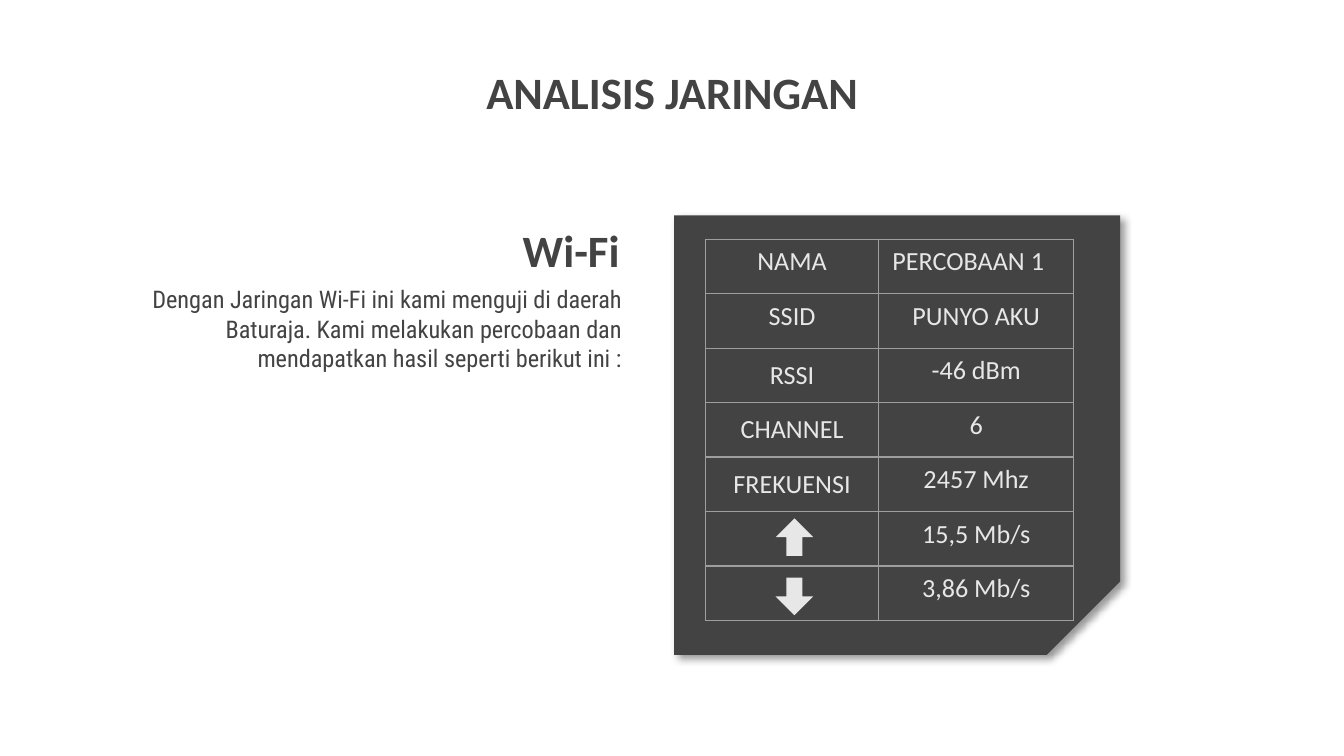
from lxml import etree
from pptx import Presentation
from pptx.dml.color import RGBColor
from pptx.enum import shapes, text
from pptx.oxml import parse_xml
from pptx.oxml.ns import nsdecls, qn
from pptx.util import Cm, Pt

DARK = RGBColor(0x43, 0x43, 0x43)
LIGHT = RGBColor(0xE7, 0xE7, 0xE7)
GRID = RGBColor(0x9E, 0x9E, 0x9E)

RESULTS = [
    ("NAMA", "PERCOBAAN 1"),
    ("SSID", "PUNYO AKU"),
    ("RSSI", "-46 dBm"),
    ("CHANNEL", "6"),
    ("FREKUENSI", "2457 Mhz"),
    ("", "15,5 Mb/s"),
    ("", "3,86 Mb/s"),
]
MIDDLE_LABELS = ("RSSI", "CHANNEL", "FREKUENSI")
COLUMN_WIDTHS = (3.28, 3.68)
ROW_HEIGHT = 1.03


def place(shape, left, top, width, height):
    shape.left, shape.top = Cm(left), Cm(top)
    shape.width, shape.height = Cm(width), Cm(height)


def style_paragraph(paragraph, size, face, color, align, bold=False):
    paragraph.alignment = align
    paragraph.font.size = Pt(size)
    paragraph.font.name = face
    paragraph.font.bold = bold
    paragraph.font.color.rgb = color


def write_text(box, lines, size, face, align, anchor, bold=False):
    frame = box.text_frame
    frame.word_wrap = True
    frame.auto_size = text.MSO_AUTO_SIZE.NONE
    frame.vertical_anchor = anchor
    frame.margin_left = frame.margin_right = Cm(0.25)
    frame.margin_top = frame.margin_bottom = Cm(0.25)
    frame.text = "\n".join(lines)
    for paragraph in frame.paragraphs:
        paragraph.space_before = Pt(0)
        style_paragraph(paragraph, size, face, DARK, align, bold)


def add_solid(slide, preset, box, color):
    solid = slide.shapes.add_shape(preset, *map(Cm, box))
    solid.shadow.inherit = False
    solid.fill.solid()
    solid.fill.fore_color.rgb = color
    solid.line.fill.background()
    return solid


def add_panel(slide):
    panel = add_solid(slide, shapes.MSO_SHAPE.SNIP_1_RECTANGLE,
                      (12.8, 4.01, 8.31, 8.43), DARK)
    panel.rotation = 90
    panel.adjustments[0] = 0.167
    effects = panel._element.spPr.find(qn("a:effectLst"))
    effects.append(parse_xml(
        f'<a:outerShdw {nsdecls("a")} blurRad="{Pt(4)}" dist="{Pt(3)}" '
        'dir="2700000" algn="bl" rotWithShape="0">'
        '<a:srgbClr val="000000"><a:alpha val="40000"/></a:srgbClr>'
        '</a:outerShdw>'))


def add_borders(cell):
    properties = cell._tc.get_or_add_tcPr()
    for side in ("a:lnL", "a:lnR", "a:lnT", "a:lnB"):
        border = etree.SubElement(properties, qn(side), w=str(Pt(0.75)))
        fill = etree.SubElement(border, qn("a:solidFill"))
        etree.SubElement(fill, qn("a:srgbClr"), val=str(GRID))


def fill_cell(cell, value):
    add_borders(cell)
    cell.fill.background()
    cell.text = value
    if value in MIDDLE_LABELS:
        cell.vertical_anchor = text.MSO_ANCHOR.MIDDLE
    align = text.PP_ALIGN.LEFT if value == "PERCOBAAN 1" else text.PP_ALIGN.CENTER
    style_paragraph(cell.text_frame.paragraphs[0], 14, "Calibri", LIGHT, align)


def add_results(slide):
    results = slide.shapes.add_table(
        len(RESULTS), len(COLUMN_WIDTHS), Cm(13.33), Cm(4.52),
        Cm(sum(COLUMN_WIDTHS)), Cm(ROW_HEIGHT * len(RESULTS))).table
    results.first_row = results.horz_banding = False
    for column, width in zip(results.columns, COLUMN_WIDTHS):
        column.width = Cm(width)
    for row, values in zip(results.rows, RESULTS):
        row.height = Cm(ROW_HEIGHT)
        for cell, value in zip(row.cells, values):
            fill_cell(cell, value)


def add_arrow(slide, preset, top):
    arrow = add_solid(slide, preset, (14.66, top, 0.71, 0.71), LIGHT)
    arrow.adjustments[0] = 0.43
    arrow.adjustments[1] = 0.5


def main():
    deck = Presentation()
    deck.slide_width, deck.slide_height = Cm(25.4), Cm(14.29)
    slide = deck.slides.add_slide(deck.slide_layouts[0])

    add_panel(slide)

    title = slide.shapes.title
    place(title, 8.36, 0.97, 8.69, 1.52)
    write_text(title, ["ANALISIS JARINGAN"], 24, "Calibri",
               text.PP_ALIGN.CENTER, text.MSO_ANCHOR.TOP, bold=True)

    heading = slide.shapes.add_textbox(Cm(6.65), Cm(4.17), Cm(5.31), Cm(1.09))
    write_text(heading, ["Wi-Fi"], 24, "Calibri",
               text.PP_ALIGN.RIGHT, text.MSO_ANCHOR.MIDDLE, bold=True)

    description = slide.placeholders[1]
    place(description, 2.21, 5.13, 9.78, 2.11)
    write_text(description, [
        "Dengan Jaringan Wi-Fi ini kami menguji di daerah Baturaja. "
        "Kami melakukan percobaan dan",
        "mendapatkan hasil seperti berikut ini :",
    ], 13, "Roboto Condensed", text.PP_ALIGN.RIGHT, text.MSO_ANCHOR.TOP)

    add_results(slide)
    add_arrow(slide, shapes.MSO_SHAPE.UP_ARROW, 9.8)
    add_arrow(slide, shapes.MSO_SHAPE.DOWN_ARROW, 10.92)
    deck.save("out.pptx")


if __name__ == "__main__":
    main()
